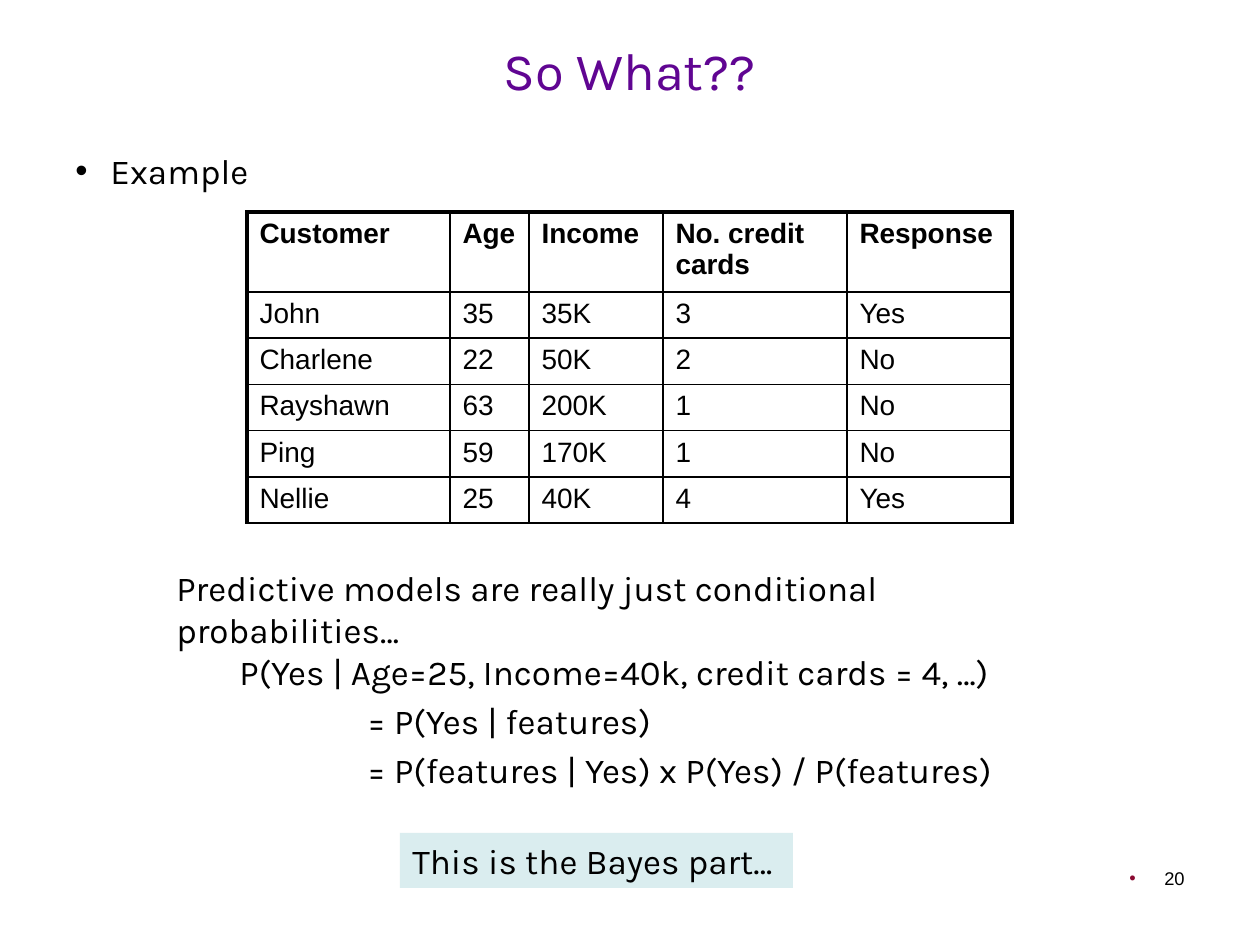
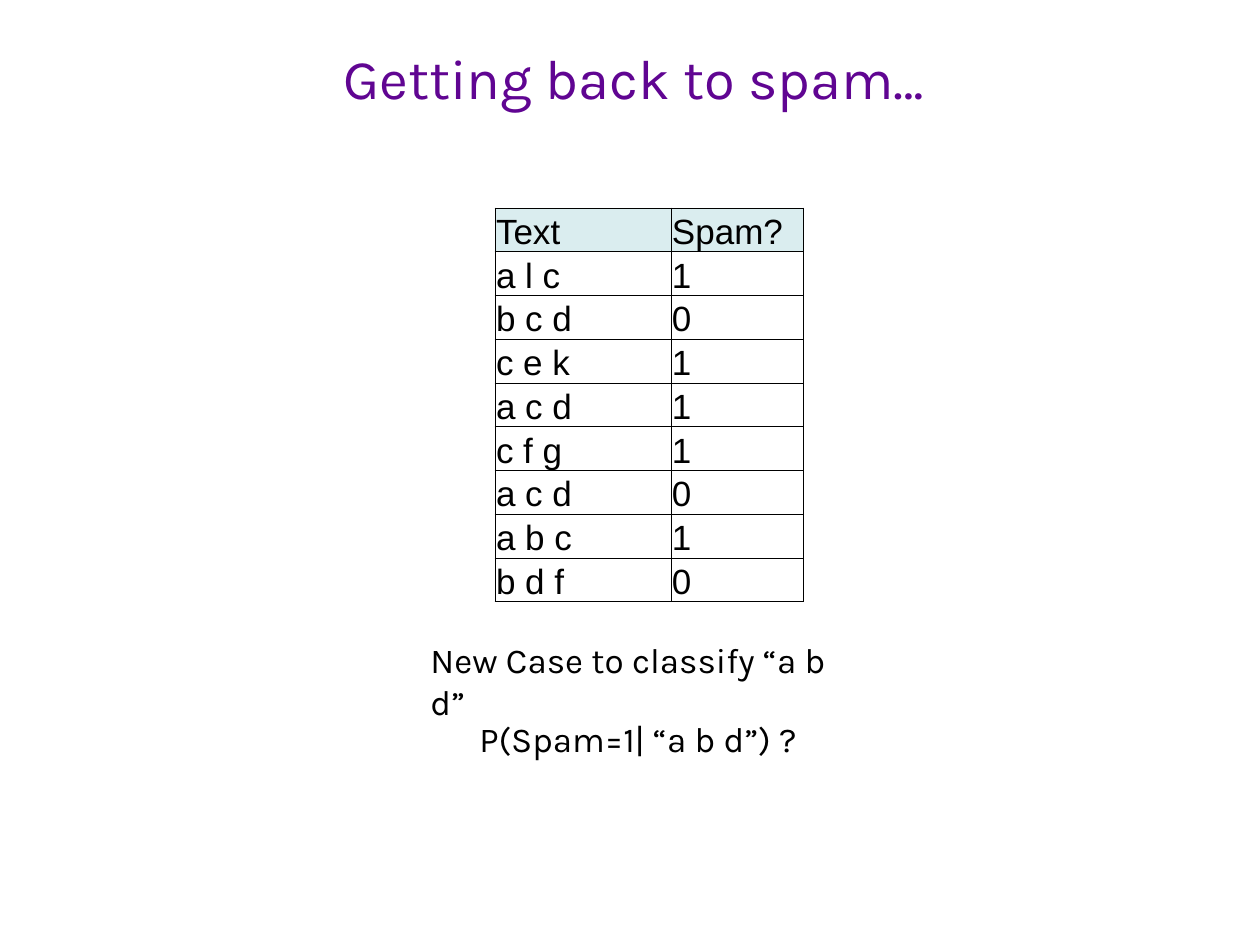
"""Build two slides on predictive models as conditional probabilities."""
from dataclasses import dataclass

from lxml import etree
from pptx import Presentation
from pptx.dml.color import RGBColor
from pptx.enum.text import MSO_ANCHOR, PP_ALIGN
from pptx.oxml.ns import qn
from pptx.util import Emu, Pt

LEFT, CENTER, RIGHT = PP_ALIGN.LEFT, PP_ALIGN.CENTER, PP_ALIGN.RIGHT
TOP, MIDDLE, BOTTOM = MSO_ANCHOR.TOP, MSO_ANCHOR.MIDDLE, MSO_ANCHOR.BOTTOM
PX = 914400 / 126


@dataclass(frozen=True)
class Theme:
    title: str = "600592"
    ink: str = "000000"
    tint: str = "DAEDEF"
    accent: str = "8B0A32"
    head_font: str = "Karla"
    data_font: str = "Arial"
    body: float = 20
    cell: float = 16
    footer: float = 10.5
    gap: float = 4
    thick: float = 2.25
    thin: float = 1
    hairline: float = 0.5


T = Theme()


def add_text(s, box, lines, size=T.body, color=T.ink, font=T.head_font,
             align=LEFT, anchor=TOP, fill=None, bullet=None):
    """Add a wrapped text box and return its paragraphs."""
    sp = s.shapes.add_textbox(*[Emu(round(v * PX)) for v in box])
    if fill:
        sp.fill.solid()
        sp.fill.fore_color.rgb = RGBColor.from_string(fill)
    tf = sp.text_frame
    tf.word_wrap = True
    tf.vertical_anchor = anchor
    tf.text = "\n".join(lines)
    for i, p in enumerate(tf.paragraphs):
        p.alignment = align
        p.space_before = Pt(T.gap if i else 0)
        if bullet:
            pPr = p._p.get_or_add_pPr()
            pPr.set("marL", str(round(35 * PX)))
            pPr.set("indent", str(round(-35 * PX)))
            clr = etree.SubElement(pPr, qn("a:buClr"))
            etree.SubElement(clr, qn("a:srgbClr"), val=bullet)
            etree.SubElement(pPr, qn("a:buFont"), typeface=T.data_font)
            etree.SubElement(pPr, qn("a:buChar"), char="•")
        for r in p.runs:
            r.font.size = Pt(size)
            r.font.name = font
            r.font.color.rgb = RGBColor.from_string(color)
    return tf.paragraphs


def add_grid(s, left, top, col_widths, height, rows, size, line, frame,
             head_fill=None, head_bold=False):
    """Add a ruled table whose left, top and right edges use the frame width."""
    box = left, top, sum(col_widths), height
    tbl = s.shapes.add_table(len(rows), len(col_widths),
                             *[Emu(round(v * PX)) for v in box]).table
    tbl.first_row = tbl.horz_banding = False
    last = len(col_widths) - 1
    for c, width in enumerate(col_widths):
        tbl.columns[c].width = Emu(round(width * PX))
    for i, row in enumerate(rows):
        for c, value in enumerate(row):
            cell = tbl.cell(i, c)
            cell.text = value
            f = cell.text_frame.paragraphs[0].runs[0].font
            f.size = Pt(size)
            f.name = T.data_font
            f.bold = head_bold and i == 0
            f.color.rgb = RGBColor.from_string(T.ink)
            tcPr = cell._tc.get_or_add_tcPr()
            edges = {"L": c == 0, "R": c == last, "T": i == 0, "B": False}
            for side, outer in edges.items():
                ln = etree.SubElement(tcPr, qn(f"a:ln{side}"),
                                      w=str(Pt(frame if outer else line)))
                solid = etree.SubElement(ln, qn("a:solidFill"))
                etree.SubElement(solid, qn("a:srgbClr"), val=T.ink)
            if head_fill and i == 0:
                cell.fill.solid()
                cell.fill.fore_color.rgb = RGBColor.from_string(head_fill)
            else:
                cell.fill.background()
    return tbl


prs = Presentation()
prs.slide_width, prs.slide_height = Emu(round(1260 * PX)), Emu(round(945 * PX))
blank = prs.slide_layouts[6]

s = prs.slides.add_slide(blank)
add_text(s, (63, 19, 1134, 101), ["So What??"], 30, T.title, align=CENTER, anchor=MIDDLE)
add_text(s, (63, 143, 1158, 60), ["Example"], bullet=T.ink)
add_text(s, (903, 861, 294, 65), ["20"], T.footer, font=T.data_font,
         align=RIGHT, bullet=T.accent)

customers = [
    ("Customer", "Age", "Income", "No. credit cards", "Response"),
    ("John", "35", "35K", "3", "Yes"),
    ("Charlene", "22", "50K", "2", "No"),
    ("Rayshawn", "63", "200K", "1", "No"),
    ("Ping", "59", "170K", "1", "No"),
    ("Nellie", "25", "40K", "4", "Yes"),
]
tbl = add_grid(s, 247, 212, (203, 79, 134, 184, 165), 296, customers,
               T.cell, T.thin, T.thick, head_bold=True)
for i, row in enumerate(tbl.rows):
    row.height = Emu(round((44 if i else 76) * PX))

formula = add_text(s, (227, 644, 823, 160), [
    "P(Yes | Age=25, Income=40k, credit cards = 4, …)",
    "= P(Yes | features)",
    "= P(features | Yes) x P(Yes) / P(features)",
])
for p in formula[1:]:
    p._p.get_or_add_pPr().set("marL", str(round(128 * PX)))
add_text(s, (164, 560, 932, 96),
         ["Predictive models are really just conditional probabilities…"])
add_text(s, (400, 833, 393, 55), ["This is the Bayes part…"], fill=T.tint)

s = prs.slides.add_slide(blank)
add_text(s, (72, 14, 1124, 126), ["Getting back to spam…"], 32, T.title,
         align=CENTER, anchor=MIDDLE)
add_text(s, (418, 632, 460, 106), ["New Case to classify “a b d”"])
add_text(s, (467, 711, 364, 55), ["P(Spam=1| “a b d”) ?"])

messages = [
    ("Text", "Spam?"),
    ("a l c", "1"),
    ("b c d", "0"),
    ("c e k", "1"),
    ("a c d", "1"),
    ("c f g", "1"),
    ("a c d", "0"),
    ("a b c", "1"),
    ("b d f", "0"),
]
tbl = add_grid(s, 495, 208, (176, 132), 394, messages, T.body, T.hairline,
               T.hairline, head_fill=T.tint)
for cell in tbl.iter_cells():
    cell.vertical_anchor = BOTTOM
    cell.margin_left = cell.margin_right = cell.margin_top = Emu(round(PX))
    cell.margin_bottom = 0

prs.save("out.pptx")
